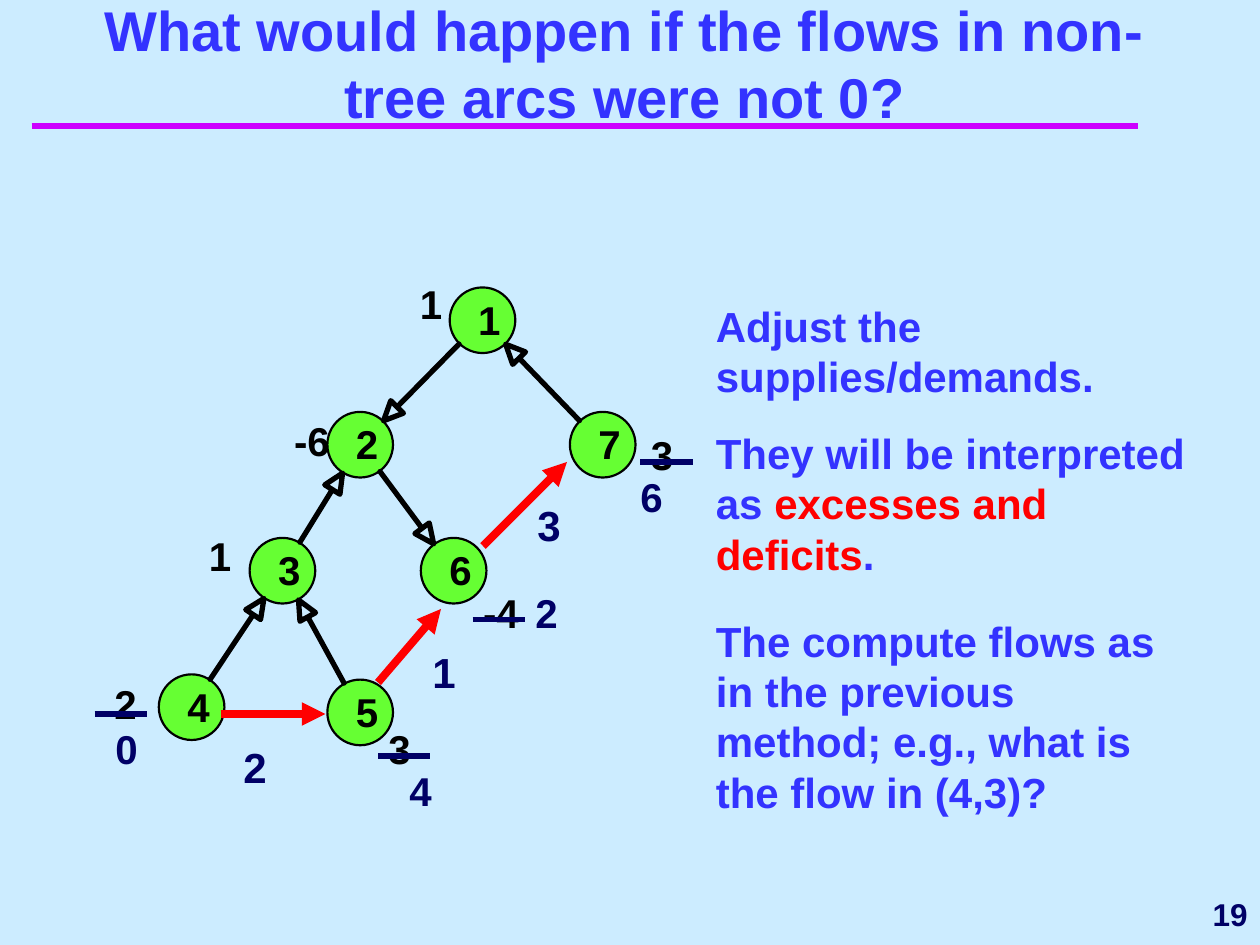
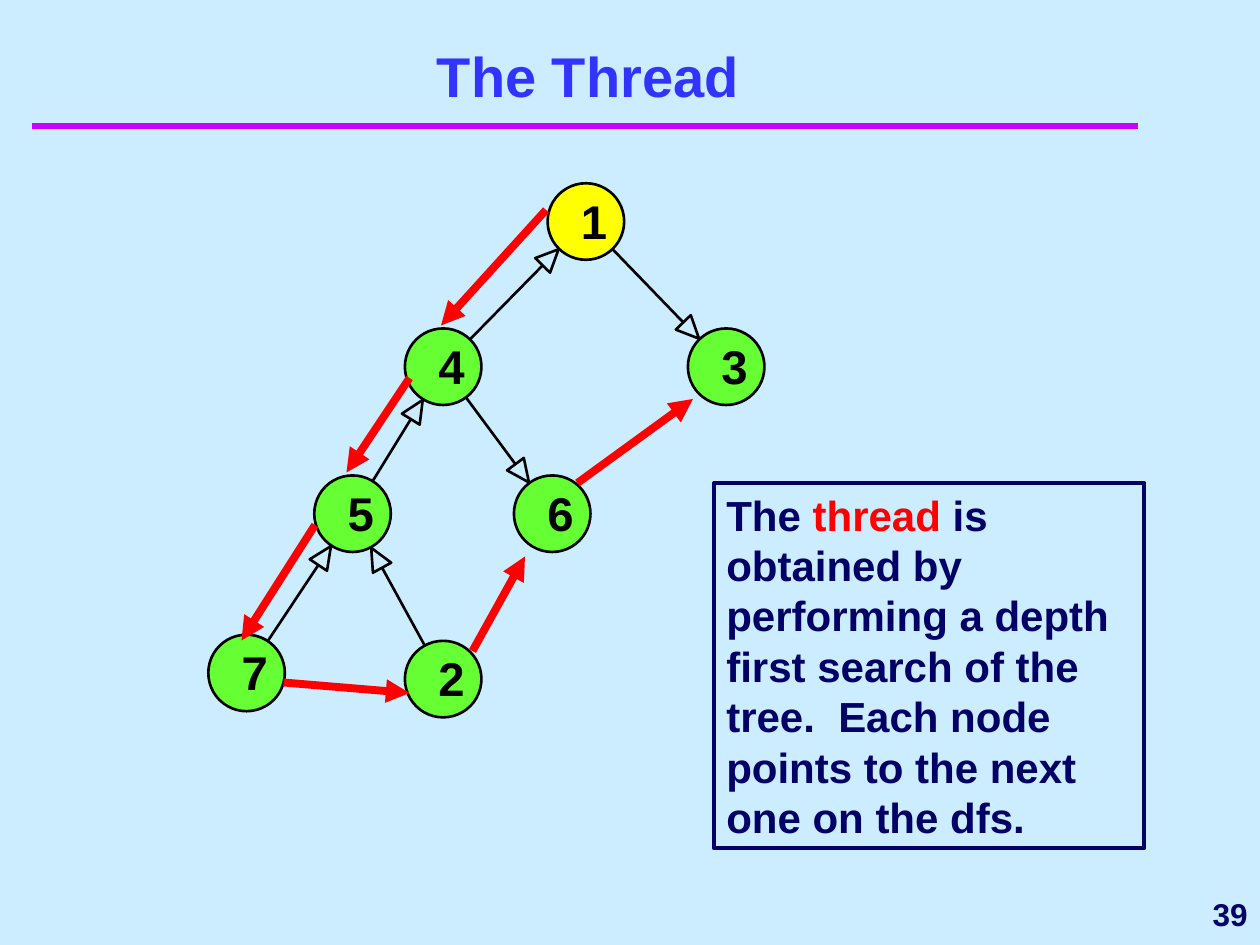
from math import hypot

from lxml.etree import SubElement
from pptx import Presentation
from pptx.dml.color import RGBColor
from pptx.enum.shapes import MSO_CONNECTOR, MSO_SHAPE
from pptx.enum.text import MSO_ANCHOR, MSO_AUTO_SIZE, PP_ALIGN
from pptx.oxml.ns import qn
from pptx.util import Inches, Pt

COLUMNS, ROWS = 120, 90
SKY, BLUE, NAVY, RED = "CCECFF", "3333FF", "000066", "FF0000"
BLACK, GREEN, YELLOW, MAGENTA = "000000", "66FF33", "FFFF00", "CC00FF"

NODES = {
    "root": (0, 0),
    "left": (-11.65, 11.85),
    "right": (11.45, 11.85),
    "inner": (-19.05, 23.85),
    "outer": (-2.75, 23.85),
    "leaf_a": (-27.7, 36.85),
    "leaf_b": (-11.65, 37.35),
}
UPWARD = [("inner", "left"), ("leaf_a", "inner"), ("leaf_b", "inner"), ("left", "outer")]


def rgb(value):
    """Turn a hex string into a colour."""
    return RGBColor.from_string(value)


class Deck:
    """Hold the presentation style and the slide being drawn."""

    FONT = {"name": "Arial", "bold": True}
    RADIUS, HEAD, BARB = 3.18, 1.85, 0.85

    def __init__(self):
        """Start a presentation with the shared size and background."""
        self.prs = Presentation()
        self.prs.slide_width, self.prs.slide_height = Inches(10), Inches(7.5)
        fill = self.prs.slide_master.background.fill
        fill.solid()
        fill.fore_color.rgb = rgb(SKY)

    def x(self, columns):
        """Convert columns to a length."""
        return round(self.prs.slide_width * columns / COLUMNS)

    def y(self, rows):
        """Convert rows to a length."""
        return round(self.prs.slide_height * rows / ROWS)

    def box(self, left, top, width, height):
        """Convert a grid box to lengths."""
        return self.x(left), self.y(top), self.x(width), self.y(height)

    def slide(self, title, title_box, number):
        """Add a slide with its title, rule and page number."""
        self.s = self.prs.slides.add_slide(self.prs.slide_layouts[5])
        self.line((3, 12), (108.4, 12), MAGENTA, 4)
        self.text((97, 84, 23, 6), [[(number, NAVY)]], 18, wrap=False, fit=False,
                  anchor=MSO_ANCHOR.MIDDLE, align=PP_ALIGN.RIGHT)
        sp = self.s.shapes.title
        sp.left, sp.top, sp.width, sp.height = self.box(*title_box)
        self.put_words(sp, [[(title, BLUE)]], 32, fit=False,
                       anchor=MSO_ANCHOR.BOTTOM, align=PP_ALIGN.CENTER)

    def put_words(self, sp, paragraphs, size, wrap=True, fit=True, inset=True,
                  anchor=MSO_ANCHOR.TOP, align=PP_ALIGN.LEFT):
        """Fill a shape with paragraphs of (text, colour) runs."""
        tf = sp.text_frame
        across, down = (Inches(0.1), Inches(0.05)) if inset else (0, 0)
        frame = {
            "word_wrap": wrap, "vertical_anchor": anchor,
            "auto_size": MSO_AUTO_SIZE.SHAPE_TO_FIT_TEXT if fit else MSO_AUTO_SIZE.NONE,
            "margin_left": across, "margin_right": across,
            "margin_top": down, "margin_bottom": down,
        }
        for name, value in frame.items():
            setattr(tf, name, value)
        for i, runs in enumerate(paragraphs):
            p = tf.add_paragraph() if i else tf.paragraphs[0]
            p.alignment = align
            p.space_before = Pt(15 if i else 0)
            for words, color in runs:
                r = p.add_run()
                r.text = words
                for name, value in {**self.FONT, "size": Pt(size)}.items():
                    setattr(r.font, name, value)
                r.font.color.rgb = rgb(color)

    def text(self, box, paragraphs, size, **options):
        """Add a text box."""
        self.put_words(self.s.shapes.add_textbox(*self.box(*box)), paragraphs, size, **options)

    def label(self, left, top, words, color=BLACK, scale=1):
        """Add a tight one-line label."""
        width = (2.2 if len(words) == 1 else 3.5) * scale
        self.text((left, top, width, 4.55 * scale), [[(words, color)]],
                  round(23 * scale), wrap=False, inset=False)

    def style(self, sp, fill, line, width):
        """Set the fill and outline of a shape."""
        sp.shadow.inherit = False
        if fill:
            sp.fill.solid()
            sp.fill.fore_color.rgb = rgb(fill)
        else:
            sp.fill.background()
        sp.line.color.rgb = rgb(line)
        sp.line.width = Pt(width)

    def shape(self, kind, box, fill, line, width):
        """Add a preset shape."""
        sp = self.s.shapes.add_shape(kind, *self.box(*box))
        self.style(sp, fill, line, width)
        return sp

    def line(self, start, end, color, width, arrow=False):
        """Add a straight line, with an arrowhead if asked."""
        sp = self.s.shapes.add_connector(
            MSO_CONNECTOR.STRAIGHT, self.x(start[0]), self.y(start[1]),
            self.x(end[0]), self.y(end[1]))
        sp.line.color.rgb = rgb(color)
        sp.line.width = Pt(width)
        properties = sp._element.spPr
        if arrow:
            SubElement(properties.find(qn("a:ln")), qn("a:tailEnd"), type="triangle")
        SubElement(properties, qn("a:effectLst"))

    def arrows(self, ends):
        """Add thick red arrows."""
        for start, end in ends:
            self.line(start, end, RED, 4.5, arrow=True)

    def arc(self, start, end, scale, width):
        """Draw an open-headed arrow between the rims of two nodes."""
        dx, dy = end[0] - start[0], end[1] - start[1]
        length = hypot(dx, dy)
        dx, dy = dx / length, dy / length
        radius, head, barb = (n * scale for n in (self.RADIUS, self.HEAD, self.BARB))

        def point(along, across=0):
            """Place a point along and across the arrow."""
            return (self.x(start[0] + along * dx - across * dy),
                    self.y(start[1] + along * dy + across * dx))

        tip = length - radius
        neck = point(tip - head)
        builder = self.s.shapes.build_freeform(*point(radius))
        builder.add_line_segments([neck, point(tip - head, barb), point(tip),
                                   point(tip - head, -barb), neck], close=True)
        self.style(builder.convert_to_shape(), None, BLACK, width)

    def tree(self, root, scale, numbers, root_arcs, root_fill, rim, arc_width):
        """Draw the seven-node tree with its arcs."""
        places = {name: (root[0] + scale * dx, root[1] + scale * dy)
                  for name, (dx, dy) in NODES.items()}
        size = 6.25 * scale
        for (name, (cx, cy)), number in zip(places.items(), numbers):
            self.shape(MSO_SHAPE.OVAL, (cx - size / 2, cy - size / 2, size, size),
                       root_fill if name == "root" else GREEN, BLACK, rim)
            self.label(cx - 0.4 * scale, cy - 2.4 * scale, number, scale=scale)
        for tail, head in UPWARD + root_arcs:
            self.arc(places[tail], places[head], scale, arc_width)


def flows_slide(d):
    """Build the slide on flows in non-tree arcs."""
    d.slide("What would happen if the flows in non-tree arcs were not 0?",
            (5, 8, 109, 5), "19")
    d.tree((45.95, 30.5), 1, "1273645", [("root", "left"), ("right", "root")],
           GREEN, 1.25, 3)
    supplies = [(40, 26.6, "1"), (62, 41, "3"), (28, 39.6, "-6"), (46, 56, "-4"),
                (19.9, 50.6, "1"), (10.9, 64.7, "2"), (37, 69, "3")]
    for supply in supplies:
        d.label(*supply)
    d.text((67, 28, 49, 27.7), [
        [("Adjust the supplies/demands.", BLUE)],
        [("They will be interpreted as ", BLUE), ("excesses and deficits", RED), (".", BLUE)],
    ], 24)
    d.arrows([((21, 68), (31, 68)), ((36, 65), (42, 58)), ((46, 52), (54, 44))])
    for left, top, flow in [(22, 70, "2"), (40, 61, "1"), (50, 47, "3")]:
        d.text((left, top, 9, 6), [[(flow, NAVY)]], 24)
    for left, top in [(36, 72), (45, 59), (61, 44), (9, 68)]:
        d.line((left, top), (left + 5, top), NAVY, 3)
    for adjusted in [(11, 69, "0"), (39, 73, "4"), (51, 56, "2"), (61, 45, "6")]:
        d.label(*adjusted, NAVY)
    d.text((67, 58, 47, 20.4), [[(
        "The compute flows as in the previous method; e.g., what is the flow in (4,3)?",
        BLUE)]], 24)


def thread_slide(d):
    """Build the slide on the thread."""
    d.slide("The Thread", (5, 2, 102, 9), "39")
    d.tree((55.8, 21.1), 7 / 6, "1435672", [("left", "root"), ("root", "right")],
           YELLOW, 1.5, 1.5)
    sp = d.shape(MSO_SHAPE.RECTANGLE, (68, 46, 41, 34.8), None, NAVY, 2.25)
    d.put_words(sp, [[
        ("The ", NAVY), ("thread", RED),
        (" is obtained by performing a depth first search of the tree.  "
         "Each node points to the next one on the dfs.", NAVY),
    ]], 24)
    d.arrows([((52, 20), (42, 31)), ((39, 36), (33, 45)), ((30, 50), (23, 61)),
              ((27, 65), (39, 66)), ((45, 62), (50, 53)), ((55, 46), (66, 38))])


def main():
    """Build and save the slides."""
    d = Deck()
    flows_slide(d)
    thread_slide(d)
    d.prs.save("out.pptx")


if __name__ == "__main__":
    main()
